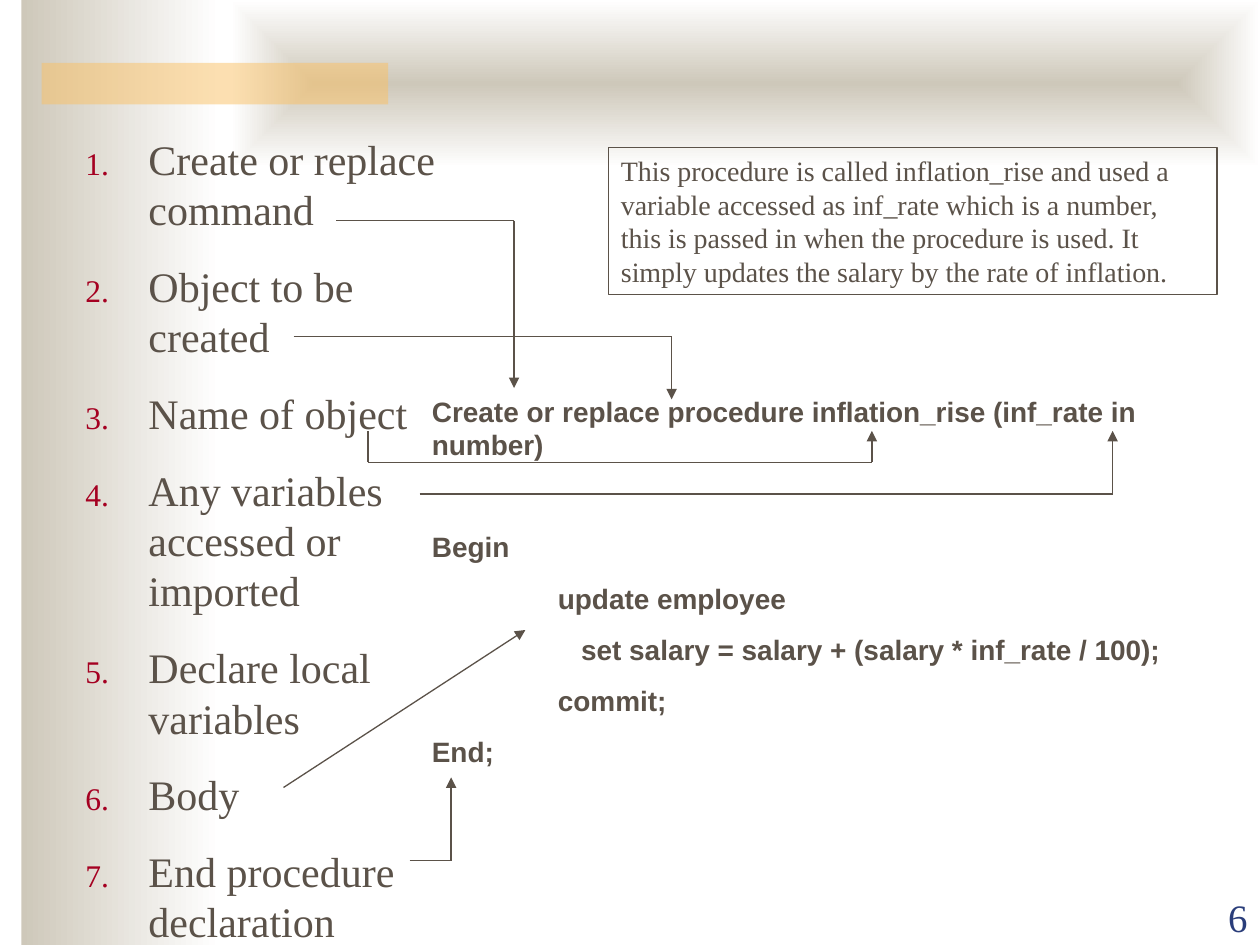
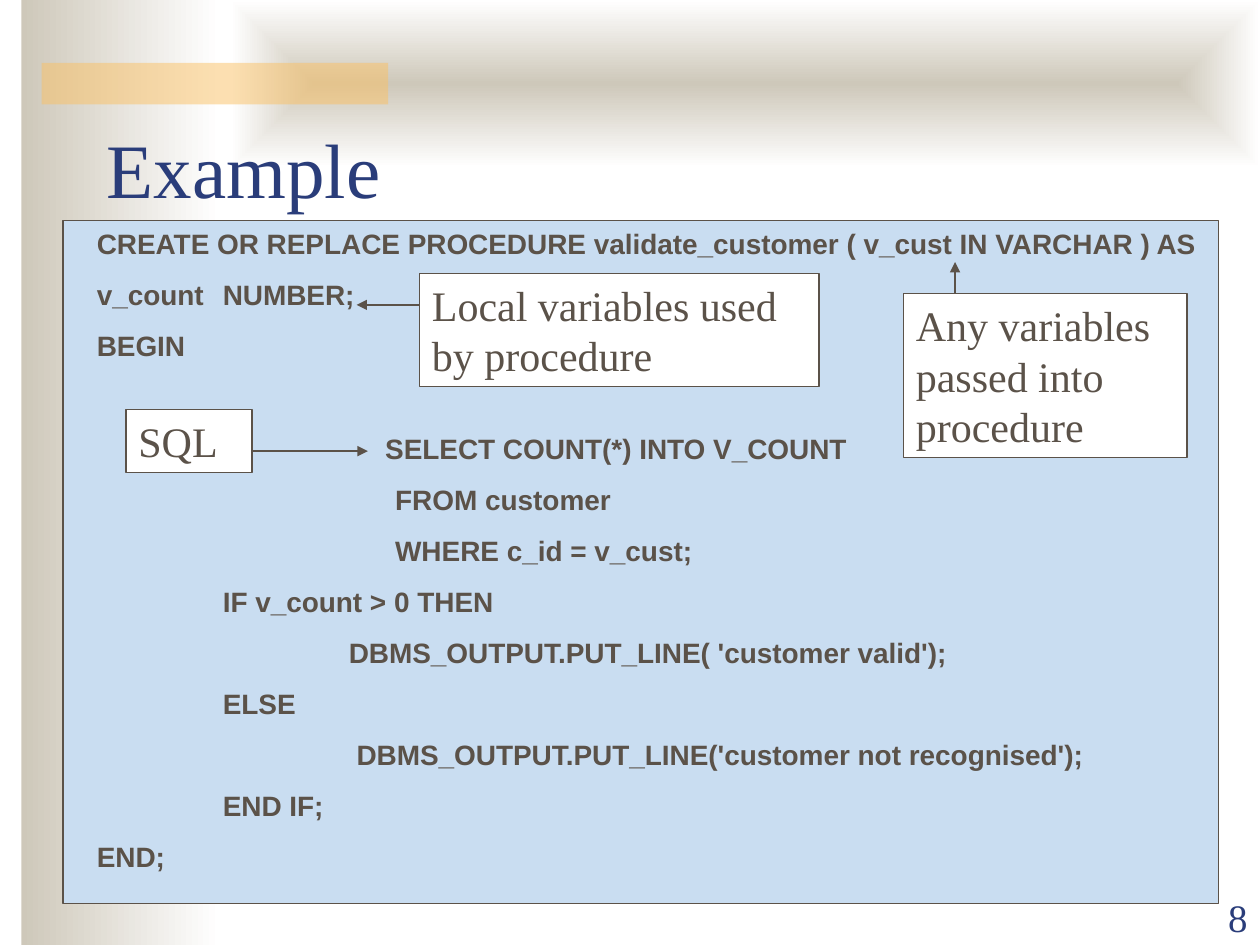
from lxml import etree
from pptx import Presentation
from pptx.dml.color import RGBColor
from pptx.enum import shapes, text
from pptx.oxml import ns
from pptx.util import Inches, Pt

# Shared look
COLORS = {"ink": "5B5249", "navy": "2A3D7A", "red": "A50021", "sand": "CEC8BA",
          "white": "FFFFFF", "amber": "FAC164", "sky": "C9DDF1"}
SERIF, SANS = "Times New Roman", "Arial"
BODY = dict(font=SERIF, size=24, gap=15)
NOTE = dict(font=SERIF, size=16, gap=10)
CODE = dict(font=SANS, size=16, gap=10, bold=True, tabs=range(1, 8))
SECTION_GAP = 39.2  # space before a code section, one line deeper than usual

# Slide 6: parts of a procedure
PARTS = ["Create or replace command", "Object to be created", "Name of object",
         "Any variables accessed or imported", "Declare local variables", "Body",
         "End procedure declaration"]
INFLATION_CODE = ["Create or replace procedure inflation_rise (inf_rate in number)",
                  "Begin",
                  "\tupdate employee",
                  "\t   set salary = salary + (salary * inf_rate / 100);",
                  "\tcommit;",
                  "End;"]
INFLATION_NOTE = ("This procedure is called inflation_rise and used a variable accessed as "
                  "inf_rate which is a number, this is passed in when the procedure is used. "
                  "It simply updates the salary by the rate of inflation.")
PART_ARROWS = [
    [(2.67, 1.75), (4.08, 1.75), (4.08, 3.08)],
    [(2.33, 2.67), (5.33, 2.67), (5.33, 3.17)],
    [(2.92, 3.42), (2.92, 3.67), (6.92, 3.67), (6.92, 3.42)],
    [(3.33, 3.92), (8.83, 3.92), (8.83, 3.42)],
    [(2.25, 6.25), (4.17, 5)],
    [(3.25, 6.83), (3.58, 6.83), (3.58, 6.17)],
]

# Slide 8: worked example
CUSTOMER_CODE = ["CREATE OR REPLACE PROCEDURE validate_customer ( v_cust IN VARCHAR ) AS",
                 "v_count\tNUMBER;",
                 "BEGIN",
                 "\t                     SELECT COUNT(*) INTO V_COUNT",
                 "\t\t      FROM customer",
                 "\t\t      WHERE c_id = v_cust;",
                 "\tIF v_count > 0 THEN",
                 "\t\tDBMS_OUTPUT.PUT_LINE( 'customer valid');",
                 "\tELSE",
                 "\t\t DBMS_OUTPUT.PUT_LINE('customer not recognised');",
                 "\tEND IF;",
                 "END;"]
CALLOUTS = [  # text, box, arrow
    ("Any variables passed into procedure", (7.17, 2.33, 2.25, 1.3), [(7.58, 2.33), (7.58, 2.08)]),
    ("Local variables used by procedure", (3.33, 2.17, 3.17, 0.9), [(3.33, 2.42), (2.83, 2.42)]),
    ("SQL", (1, 3.25, 1, 0.5), [(2, 3.58), (2.92, 3.58)]),
]


def rgb(name):
    return RGBColor.from_string(COLORS[name])


def sub(parent, tag, **attrs):
    return etree.SubElement(parent, ns.qn(tag), **attrs)


def add_box(s, at, fill=None, line=None):
    sp = s.shapes.add_shape(shapes.MSO_SHAPE.RECTANGLE, *map(Inches, at))
    sp.shadow.inherit = False
    if fill:
        sp.fill.solid()
        sp.fill.fore_color.rgb = rgb(fill)
    else:
        sp.fill.background()
    if line:
        sp.line.color.rgb = rgb(line)
        sp.line.width = Pt(0.75)
    else:
        sp.line.fill.background()
    return sp


def add_fade(s, at, from_center=False):
    sp = add_box(s, at)
    sp.fill.gradient()
    sp.fill.gradient_angle = 0
    for stop, name in zip(sp.fill.gradient_stops, ("sand", "white")):
        stop.color.rgb = rgb(name)
    if from_center:
        lin = sp._element.spPr.find(".//" + ns.qn("a:lin"))
        grad = lin.getparent()
        grad.remove(lin)
        sub(sub(grad, "a:path", path="rect"), "a:fillToRect",
            **dict.fromkeys("ltrb", "50000"))


def number(p):
    pPr = p._p.get_or_add_pPr()
    pPr.set("marL", str(Inches(0.5)))
    pPr.set("indent", str(-Inches(0.5)))
    sub(sub(pPr, "a:buClr"), "a:srgbClr", val=COLORS["red"])
    sub(pPr, "a:buSzPct", val="75000")
    sub(pPr, "a:buAutoNum", type="arabicPeriod")


def set_tabs(p, tabs):
    tab_list = sub(p._p.get_or_add_pPr(), "a:tabLst")
    for tab in tabs:
        sub(tab_list, "a:tab", pos=str(Inches(tab)), algn="l")


def write(sp, lines, font, size, gap=0, bold=False, color="ink", align=text.PP_ALIGN.LEFT,
          anchor=text.MSO_ANCHOR.TOP, numbered=False, section=None, tabs=()):
    tf = sp.text_frame
    tf.word_wrap = True
    tf.vertical_anchor = anchor
    for i, line in enumerate(lines):
        p = tf.add_paragraph() if i else tf.paragraphs[0]
        p.text = line
        p.alignment = align
        if i:
            p.space_before = Pt(SECTION_GAP if i == section else gap)
        if numbered:
            number(p)
        if tabs:
            set_tabs(p, tabs)
        for r in p.runs:
            r.font.name, r.font.size, r.font.bold = font, Pt(size), bold
            r.font.color.rgb = rgb(color)


def add_text(s, at, lines, **style):
    write(s.shapes.add_textbox(*map(Inches, at)), lines, **style)


def add_arrow(s, points):
    """Join the points with straight lines; the last one carries the head."""
    for start, end in zip(points, points[1:]):
        c = s.shapes.add_connector(shapes.MSO_CONNECTOR.STRAIGHT, *map(Inches, start + end))
        c.line.color.rgb = rgb("ink")
        c.line.width = Pt(0.75)
        if end == points[-1]:
            sub(c.line._get_or_add_ln(), "a:tailEnd", type="triangle")
        sub(c._element.spPr, "a:effectLst")


def add_slide(prs, page):
    s = prs.slides.add_slide(prs.slide_layouts[6])
    add_fade(s, (0.17, 0, 1.58, 7.5))
    add_fade(s, (1.83, 0, 8.17, 1.33), from_center=True)
    band = add_box(s, (0.33, 0.5, 2.75, 0.33), "amber")
    sub(band._element.spPr.find(".//" + ns.qn("a:srgbClr")), "a:alpha", val="50000")
    add_text(s, (9, 7.01, 1, 0.5), [page], font=SERIF, size=22.2, color="navy",
             align=text.PP_ALIGN.RIGHT, anchor=text.MSO_ANCHOR.BOTTOM)
    return s


def build_parts(prs):
    s = add_slide(prs, "6")
    add_text(s, (0.58, 1.01, 3.33, 6.55), PARTS, numbered=True, **BODY)
    add_text(s, (3.33, 3.08, 6.67, 3.07), INFLATION_CODE, section=1, **CODE)
    for points in PART_ARROWS:
        add_arrow(s, points)
    write(add_box(s, (4.83, 1.17, 4.83, 1.17), line="ink"), [INFLATION_NOTE], **NOTE)


def build_example(prs):
    s = add_slide(prs, "8")
    add_box(s, (0.5, 1.75, 9.17, 5.42), "sky", "ink")
    add_text(s, (0.75, 1.08, 8.5, 0.67), ["Example"], font=SERIF, size=44, color="navy",
             anchor=text.MSO_ANCHOR.BOTTOM)
    add_text(s, (0.67, 1.75, 9.17, 5.24), CUSTOMER_CODE, section=3, **CODE)
    for label, at, points in CALLOUTS:
        write(add_box(s, at, "white", "ink"), [label], **BODY)
        add_arrow(s, points)


def main():
    prs = Presentation()
    prs.slide_width, prs.slide_height = Inches(10), Inches(7.5)
    build_parts(prs)
    build_example(prs)
    prs.save("out.pptx")


if __name__ == "__main__":
    main()
